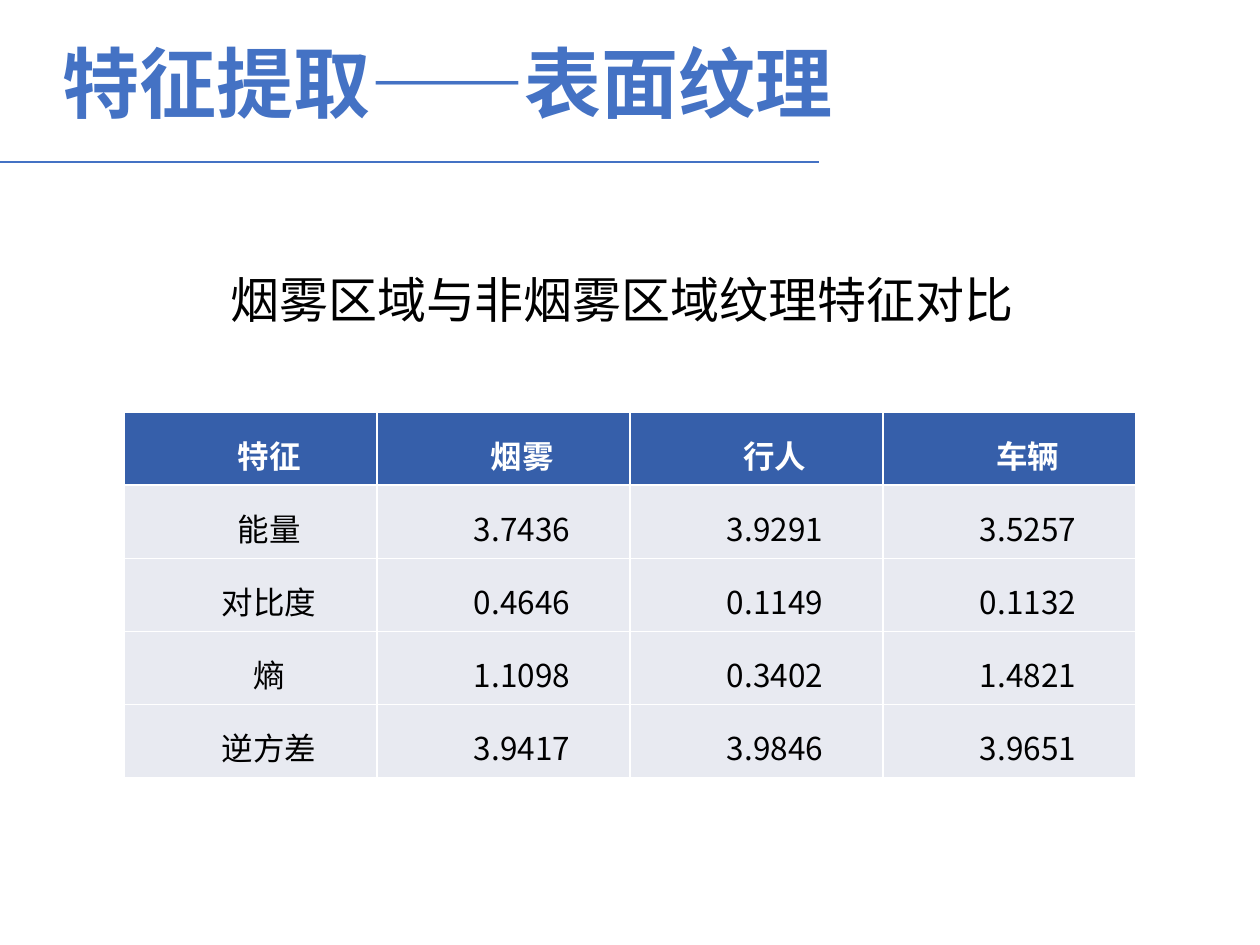
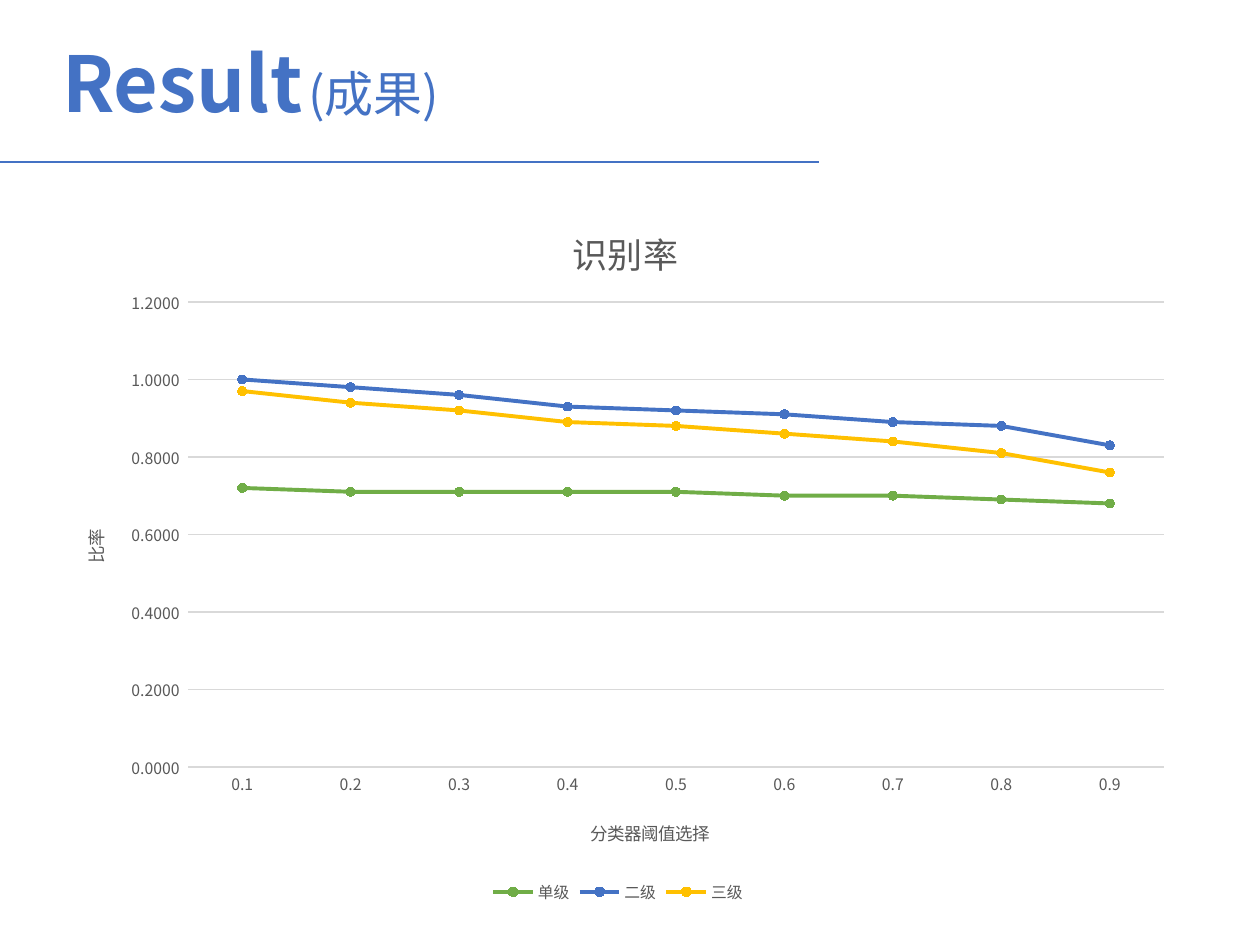
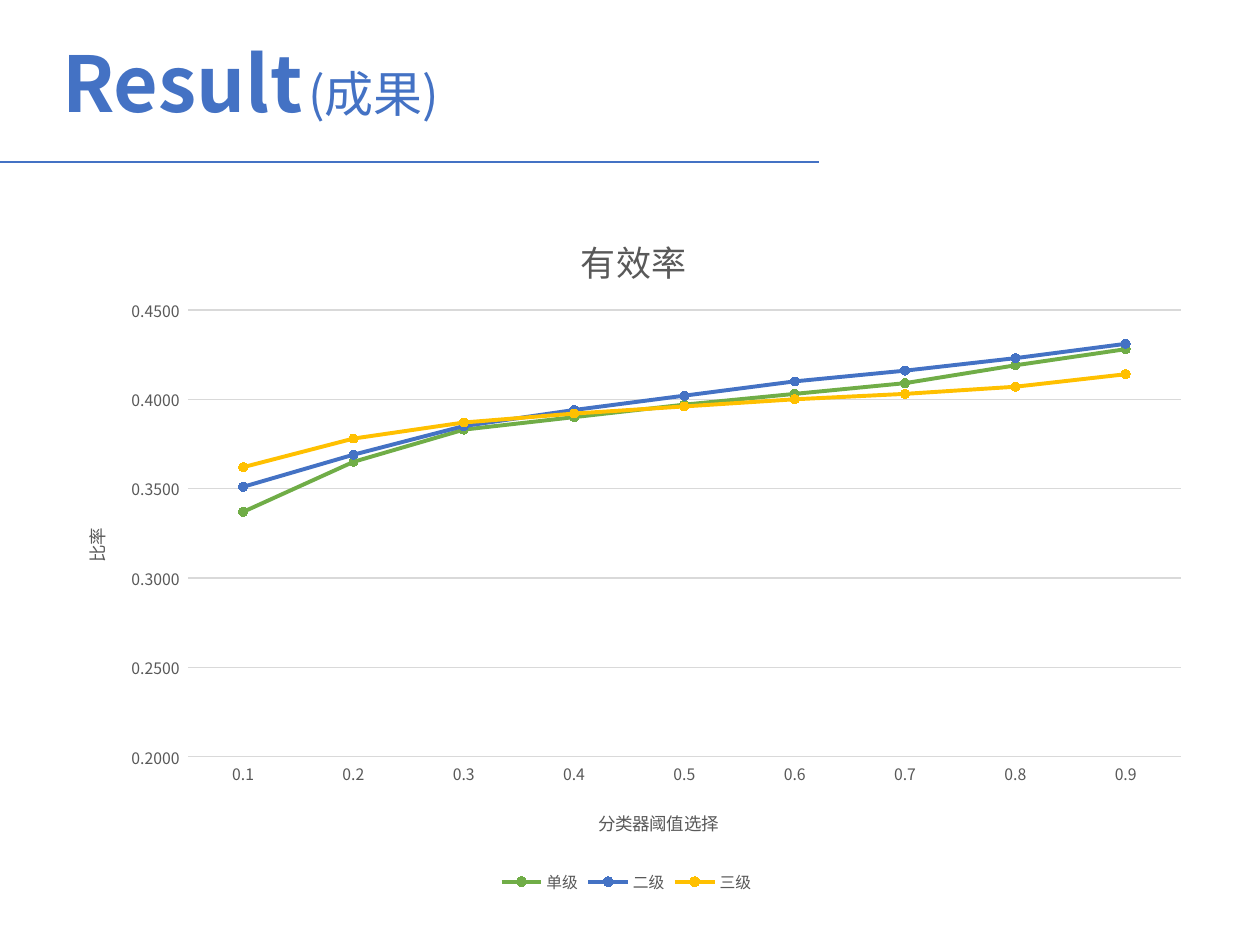
from lxml import etree
from pptx import Presentation
from pptx import util as u
from pptx.chart.data import CategoryChartData
from pptx.dml.color import RGBColor
from pptx.enum import chart as kinds, shapes, text
from pptx.oxml.ns import qn

PX = 914400 / 126
FONT = "Noto Sans CJK SC"

BLUE = RGBColor(0x44, 0x72, 0xC4)
GREEN = RGBColor(0x70, 0xAD, 0x47)
GOLD = RGBColor(0xFF, 0xC0, 0x00)
HEADER_BLUE = RGBColor(0x36, 0x5F, 0xAA)
ROW_GREY = RGBColor(0xE8, 0xEA, 0xF1)
GRID_GREY = RGBColor(0xD9, 0xD9, 0xD9)
LABEL_GREY = RGBColor(0x59, 0x59, 0x59)
BLACK = RGBColor(0, 0, 0)
WHITE = RGBColor(0xFF, 0xFF, 0xFF)

RESULT_TITLE = [("Result", 44, True), (" ", 14, True), ("(成果)", 28, False)]
THRESHOLDS = [f"0.{step}" for step in range(1, 10)]
LEVEL_COLOURS = {"单级": GREEN, "二级": BLUE, "三级": GOLD}

TEXTURE_ROWS = [
    ("特征", "烟雾", "行人", "车辆"),
    ("能量", "3.7436", "3.9291", "3.5257"),
    ("对比度", "0.4646", "0.1149", "0.1132"),
    ("熵", "1.1098", "0.3402", "1.4821"),
    ("逆方差", "3.9417", "3.9846", "3.9651"),
]
RECOGNITION_RATES = [
    (0.72, 0.71, 0.71, 0.71, 0.71, 0.70, 0.70, 0.69, 0.68),
    (1.00, 0.98, 0.96, 0.93, 0.92, 0.91, 0.89, 0.88, 0.83),
    (0.97, 0.94, 0.92, 0.89, 0.88, 0.86, 0.84, 0.81, 0.76),
]
EFFECTIVE_RATES = [
    (0.337, 0.365, 0.383, 0.390, 0.397, 0.403, 0.409, 0.419, 0.428),
    (0.351, 0.369, 0.385, 0.394, 0.402, 0.410, 0.416, 0.423, 0.431),
    (0.362, 0.378, 0.387, 0.392, 0.396, 0.400, 0.403, 0.407, 0.414),
]


def emu(*lengths):
    return [u.Emu(round(length * PX)) for length in lengths]


def style_font(font, size, colour, bold=False):
    """Set the font for Latin and East Asian letters alike."""
    font.name = FONT
    font.size = u.Pt(size)
    font.bold = bold
    font.color.rgb = colour
    etree.SubElement(font._rPr, qn("a:ea"), typeface=FONT)


def add_text(page, box, spans, colour):
    """Add one paragraph made of (words, size, bold) spans."""
    frame = page.shapes.add_textbox(*emu(*box)).text_frame
    frame.word_wrap = True
    para = frame.paragraphs[0]
    for words, size, bold in spans:
        span = para.add_run()
        span.text = words
        style_font(span.font, size, colour, bold)
    return para


def add_page(deck, title_spans):
    """Add a blank page with the shared title and the rule below it."""
    page = deck.slides.add_slide(deck.slide_layouts[6])
    rule = page.shapes.add_connector(
        shapes.MSO_CONNECTOR.STRAIGHT, *emu(0, 162, 819, 162))
    rule.line.color.rgb = BLUE
    rule.line.width = u.Pt(1.25)
    etree.SubElement(rule._element.spPr, qn("a:effectLst"))
    title = add_text(page, (50, 40, 1012, 90), title_spans, BLUE)
    title.line_spacing = 0.9
    return page


def add_texture_table(page, box):
    row_count, column_count = len(TEXTURE_ROWS), len(TEXTURE_ROWS[0])
    table = page.shapes.add_table(row_count, column_count, *emu(*box)).table
    table.horz_banding = False
    for row, words in enumerate(TEXTURE_ROWS):
        is_header = row == 0
        for column, word in enumerate(words):
            cell = table.cell(row, column)
            cell.fill.solid()
            cell.fill.fore_color.rgb = HEADER_BLUE if is_header else ROW_GREY
            cell.vertical_anchor = text.MSO_ANCHOR.MIDDLE
            cell.margin_left, cell.margin_right = emu(9, 9)
            cell.margin_top = cell.margin_bottom = 0
            cell.text = word
            para = cell.text_frame.paragraphs[0]
            para.alignment = text.PP_ALIGN.CENTER
            para.line_spacing = 1.25
            para._p.get_or_add_pPr().set("indent", str(emu(37)[0]))
            style_font(para.runs[0].font, 18,
                       WHITE if is_header else BLACK, is_header)


def place_in_chart(element, index, **shares):
    """Give a chart part a manual layout in shares of the chart's size."""
    for old in element.findall(qn("c:layout")):
        element.remove(old)
    layout = etree.Element(qn("c:layout"))
    element.insert(index, layout)
    manual = etree.SubElement(layout, qn("c:manualLayout"))
    if "w" in shares:
        etree.SubElement(manual, qn("c:layoutTarget"), val="inner")
    for side in "xy":
        etree.SubElement(manual, qn(f"c:{side}Mode"), val="edge")
    for name, share in shares.items():
        etree.SubElement(manual, qn(f"c:{name}"), val=f"{share:.4f}")


def set_chart_title(title, words, size, x, y):
    title.text_frame.text = words
    style_font(title.text_frame.paragraphs[0].runs[0].font, size, LABEL_GREY)
    place_in_chart(title._element, 1, x=x, y=y)


def style_axes(chart, low, high, step):
    for axis in (chart.category_axis, chart.value_axis):
        axis.major_tick_mark = axis.minor_tick_mark = kinds.XL_TICK_MARK.NONE
        style_font(axis.tick_labels.font, 9, LABEL_GREY)
    values = chart.value_axis
    values.minimum_scale, values.maximum_scale = low, high
    values.major_unit = step
    values.tick_labels.number_format = "0.0000_ "
    values.tick_labels.number_format_is_linked = False
    values.format.line.fill.background()
    for line in (chart.category_axis.format.line,
                 values.major_gridlines.format.line):
        line.color.rgb = GRID_GREY
        line.width = u.Pt(0.75)


def style_series(series, colour):
    series.smooth = False
    series.format.line.color.rgb = colour
    series.format.line.width = u.Pt(2.25)
    marker = series.marker
    marker.style = kinds.XL_MARKER_STYLE.CIRCLE
    marker.size = 5
    marker.format.fill.solid()
    marker.format.fill.fore_color.rgb = colour
    marker.format.line.color.rgb = colour


def add_rate_chart(page, box, title, rates, scale):
    data = CategoryChartData(number_format="0.0000_ ")
    data.categories = THRESHOLDS
    for level, values in zip(LEVEL_COLOURS, rates):
        data.add_series(level, values)
    chart = page.shapes.add_chart(
        kinds.XL_CHART_TYPE.LINE_MARKERS, *emu(*box), data).chart
    style_font(chart.font, 10, BLACK)
    chart.plots[0].vary_by_categories = False
    for series, colour in zip(chart.plots[0].series, LEVEL_COLOURS.values()):
        style_series(series, colour)
    style_axes(chart, *scale)

    chart.has_legend = True
    chart.legend.position = kinds.XL_LEGEND_POSITION.BOTTOM
    chart.legend.include_in_layout = False
    style_font(chart.legend.font, 9, LABEL_GREY)

    width, height = box[2:]
    set_chart_title(chart.chart_title, title, 20,
                    (width / 2 - 52) / width, 33 / height)
    set_chart_title(chart.category_axis.axis_title, "分类器阈值选择", 10,
                    (width / 2 - 31) / width, (height - 92) / height)
    value_title = chart.value_axis.axis_title
    set_chart_title(value_title, "比率", 10,
                    29 / width, (height / 2 - 20) / height)
    value_title.text_frame._txBody.bodyPr.set("rot", "-5400000")
    place_in_chart(chart._chartSpace.chart.plotArea, 0,
                   x=138 / width, y=118 / height,
                   w=(width - 160) / width, h=(height - 259) / height)


def main():
    deck = Presentation()
    deck.slide_width, deck.slide_height = emu(1260, 945)

    page = add_page(deck, [("特征提取——表面纹理", 44, True)])
    add_texture_table(page, (124, 412, 1012, 366))
    add_text(page, (218, 263, 844, 72),
             [("烟雾区域与非烟雾区域纹理特征对比", 28, False)], BLACK)

    page = add_page(deck, RESULT_TITLE)
    add_rate_chart(page, (50, 184, 1136, 724), "识别率",
                   RECOGNITION_RATES, (0, 1.2, 0.2))

    page = add_page(deck, RESULT_TITLE)
    add_rate_chart(page, (50, 192, 1153, 706), "有效率",
                   EFFECTIVE_RATES, (0.2, 0.45, 0.05))

    deck.save("out.pptx")


if __name__ == "__main__":
    main()
